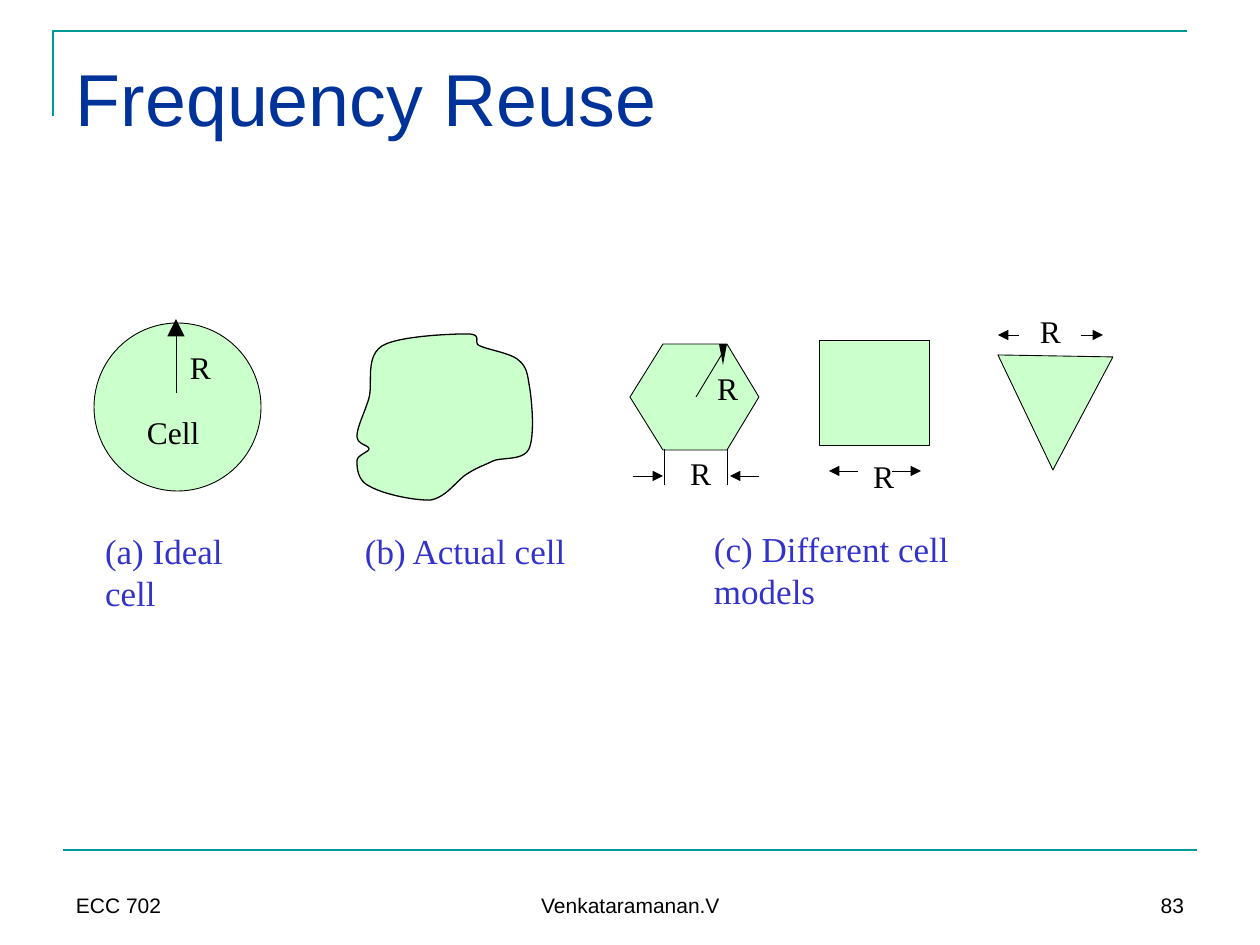
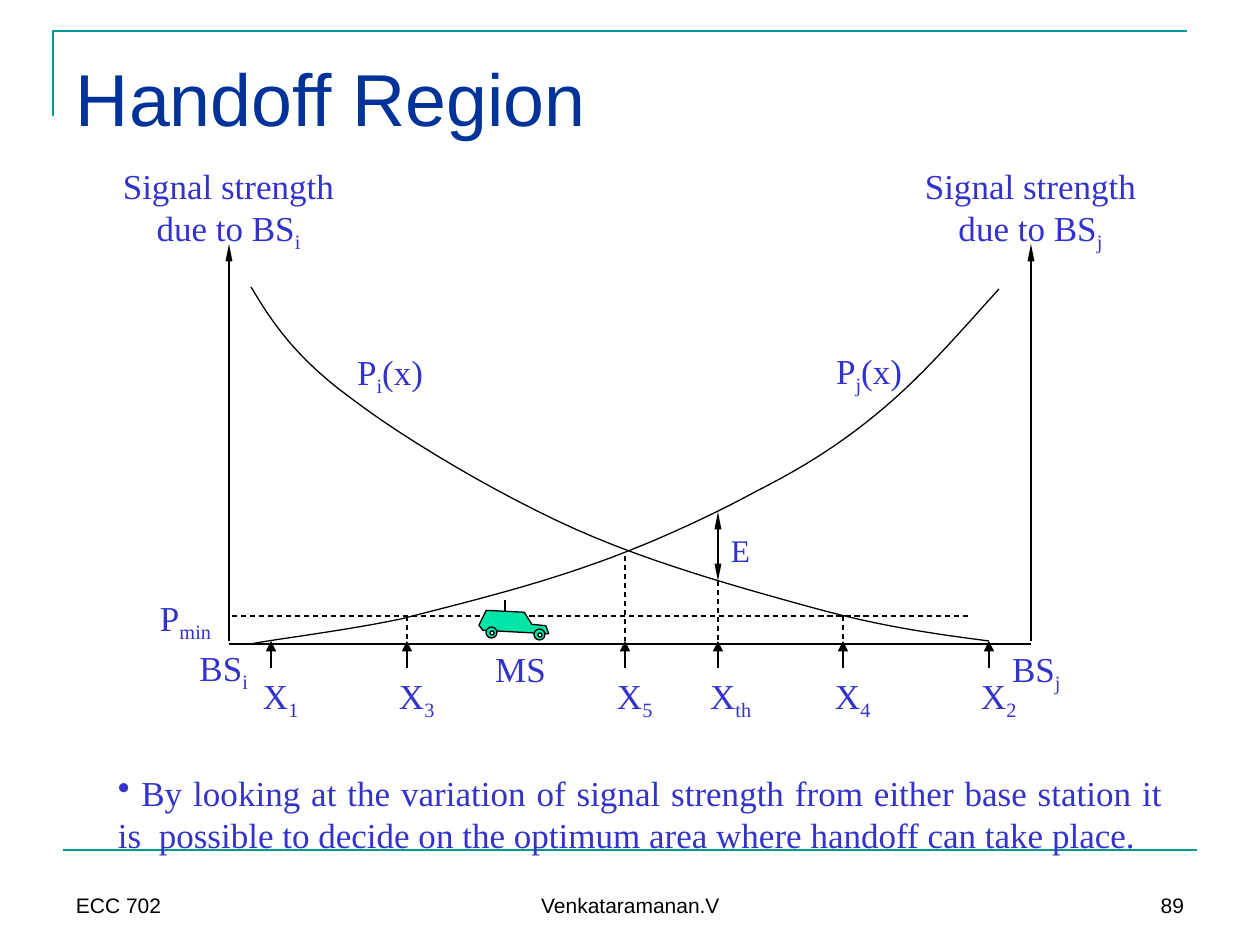
"""Builds two lecture slides on cell shapes and the handoff region."""
import pptx
import pptx.dml.color
import pptx.enum.dml
import pptx.enum.shapes
import pptx.enum.text
import pptx.oxml.ns
import pptx.util
from lxml import etree

SCALE = 914400 / 126
TEAL, NAVY, BLUE, BLACK = "009999", "003399", "3333CC", "000000"
GREEN, CAR, WHITE = "99FF99", "00E4A8", "FFFFFF"
SANS, SERIF = "Arial", "Times New Roman"
ALIGN = {
    "l": pptx.enum.text.PP_ALIGN.LEFT,
    "c": pptx.enum.text.PP_ALIGN.CENTER,
    "r": pptx.enum.text.PP_ALIGN.RIGHT,
    "j": pptx.enum.text.PP_ALIGN.JUSTIFY,
}
ANCHOR = {
    "t": pptx.enum.text.MSO_ANCHOR.TOP,
    "b": pptx.enum.text.MSO_ANCHOR.BOTTOM,
}
OVAL = pptx.enum.shapes.MSO_SHAPE.OVAL
RECT = pptx.enum.shapes.MSO_SHAPE.RECTANGLE


def px(n):
    return pptx.util.Emu(round(n * SCALE))


def rgb(value):
    return pptx.dml.color.RGBColor.from_string(value)


def sub(parent, tag, **attrs):
    return etree.SubElement(parent, pptx.oxml.ns.qn(tag), **attrs)


def text(s, content, x, y, w, h, size=20, font=SERIF, color=BLUE, align="l",
         anchor="t", wrap=True, inset=(13, 6), bullet=None):
    tb = s.shapes.add_textbox(px(x), px(y), px(w), px(h))
    tf = tb.text_frame
    tf.word_wrap = wrap
    tf.vertical_anchor = ANCHOR[anchor]
    tf.margin_left = tf.margin_right = px(inset[0])
    tf.margin_top = tf.margin_bottom = px(inset[1])
    p = tf.paragraphs[0]
    p.alignment = ALIGN[align]
    if bullet:
        sub(p._p.get_or_add_pPr(), "a:buChar", char=bullet)
    for i, part in enumerate(content.split("_")):
        r = p.add_run()
        r.text = part
        r.font.size = pptx.util.Pt(size)
        r.font.name = font
        r.font.color.rgb = rgb(color)
        if i % 2:
            r._r.get_or_add_rPr().set("baseline", "-25000")


def paint(sp, fill=None, line=BLACK, width=0.75, alpha=None):
    sp.shadow.inherit = False
    if fill:
        sp.fill.solid()
        sp.fill.fore_color.rgb = rgb(fill)
        if alpha:
            color = sp._element.spPr.find(".//" + pptx.oxml.ns.qn("a:srgbClr"))
            sub(color, "a:alpha", val=str(alpha * 1000))
    else:
        sp.fill.background()
    if line:
        sp.line.color.rgb = rgb(line)
        sp.line.width = pptx.util.Pt(width)
    else:
        sp.line.fill.background()
    return sp


def shape(s, kind, x, y, w, h, **style):
    sp = s.shapes.add_shape(kind, px(x), px(y), px(w), px(h))
    return paint(sp, **style)


def outline(s, points, close=True, **style):
    first, *rest = [(px(x), px(y)) for x, y in points]
    builder = s.shapes.build_freeform(*first, scale=1.0)
    builder.add_line_segments(rest, close=close)
    return paint(builder.convert_to_shape(), **style)


def curve(points, steps=12):
    path = [points[0]]
    for i in range(0, len(points) - 1, 3):
        a, b, c, d = points[i:i + 4]
        for k in range(1, steps + 1):
            t = k / steps
            u = 1 - t
            path.append(tuple(
                u**3 * a[n] + 3 * u * u * t * b[n] + 3 * u * t * t * c[n] + t**3 * d[n]
                for n in (0, 1)))
    return path


def line(s, x1, y1, x2, y2, color=BLACK, width=0.75, dash=False, ends=(),
         head=("med", "med")):
    straight = pptx.enum.shapes.MSO_CONNECTOR.STRAIGHT
    c = s.shapes.add_connector(straight, px(x1), px(y1), px(x2), px(y2))
    c.line.color.rgb = rgb(color)
    c.line.width = pptx.util.Pt(width)
    if dash:
        c.line.dash_style = pptx.enum.dml.MSO_LINE.DASH
    for end in ends:
        sub(c.line._get_or_add_ln(), f"a:{end}End", type="triangle",
            w=head[0], len=head[1])
    sub(c._element.spPr, "a:effectLst")


def new_slide(prs, title, number):
    s = prs.slides.add_slide(prs.slide_layouts[6])
    outline(s, [(53, 116), (53, 31), (1187, 31)], close=False, line=TEAL, width=1.5)
    line(s, 63, 850, 1197, 850, color=TEAL, width=1.5)
    text(s, title, 63, 38, 1134, 157, size=42, font=SANS, color=NAVY, inset=(13, 15))
    for words, x, w, align in (("ECC 702", 63, 294, "l"),
                               ("Venkataramanan.V", 431, 399, "c"),
                               (number, 903, 294, "r")):
        text(s, words, x, 861, w, 63, size=12, font=SANS, color=BLACK,
             align=align, anchor="b")
    return s


def frequency_reuse(prs):
    s = new_slide(prs, "Frequency Reuse", "83")
    cell = {"fill": GREEN, "alpha": 50, "width": 0.5}
    actual_cell = [
        (467, 334), (451, 334), (398, 336), (382, 346), (365, 357), (373, 383),
        (369, 398), (365, 412), (357, 427), (357, 436), (357, 445), (369, 445),
        (369, 449), (369, 452), (357, 455), (357, 461), (357, 467), (357, 480),
        (369, 486), (382, 494), (415, 501), (431, 500), (447, 497), (457, 480),
        (467, 474), (478, 467), (483, 466), (493, 461), (503, 457), (523, 461),
        (529, 449), (535, 436), (532, 399), (529, 384), (527, 370), (525, 365),
        (517, 359), (509, 353), (489, 350), (480, 346), (472, 343), (484, 334),
        (467, 334)]
    shape(s, OVAL, 94, 323, 167, 168, **cell)
    outline(s, curve(actual_cell), **{**cell, "width": 0.75})
    outline(s, [(663, 344), (630, 397), (663, 450), (727, 450), (759, 397),
                (727, 344)], **cell)
    shape(s, RECT, 819, 340, 111, 105, **cell)
    outline(s, [(1053, 470), (1113, 357), (998, 355)], **cell)

    line(s, 176, 393, 176, 319, width=0.5, ends=["tail"], head=("lg", "lg"))
    line(s, 696, 397, 722, 354, width=0.5)
    outline(s, [(719, 344), (727, 344), (723, 365)], fill=BLACK, line=None)
    for x in (664, 727):
        line(s, x, 449, x, 485, width=0.5)
    for start, end, y in ((633, 663, 476), (759, 730, 476), (858, 829, 471),
                          (892, 921, 471), (1019, 998, 335), (1081, 1103, 335)):
        line(s, start, y, end, y, width=0.5, ends=["tail"])

    label = {"size": 18, "color": BLACK, "wrap": False, "inset": (0, 0)}
    text(s, "Cell", 147, 413, 53, 38, **label)
    for x, y in ((190, 348), (717, 369), (690, 454), (873, 457), (1040, 312)):
        text(s, "R", x, y, 21, 38, **label)
    text(s, "(a) Ideal cell", 105, 529, 172, 42, inset=(0, 0))
    text(s, "(b) Actual cell", 365, 529, 204, 42, inset=(0, 0), wrap=False)
    text(s, "(c) Different cell models", 714, 527, 338, 42, inset=(0, 0))


def car(s):
    body = outline(s, [(479, 626), (486, 611), (524, 612), (532, 624), (546, 625),
                       (549, 633), (483, 631)], fill=CAR)
    body.rotation = 1.3
    for x, y in ((486, 627), (534, 629)):
        shape(s, OVAL, x, y, 11, 11, fill=CAR)
        shape(s, OVAL, x + 4, y + 4, 4, 4, fill=WHITE)
    line(s, 505, 611, 505, 600)


def handoff_region(prs):
    s = new_slide(prs, "Handoff Region", "89")
    power_j = [
        (999, 289), (961, 331), (925, 373), (885, 407), (845, 441), (808, 465),
        (757, 491), (707, 518), (644, 547), (585, 567), (525, 588), (456, 605),
        (401, 619), (344, 631), (276, 639), (251, 644)]
    power_i = [
        (251, 287), (273, 324), (297, 359), (352, 399), (406, 440), (499, 495),
        (575, 529), (651, 563), (741, 588), (810, 607), (878, 626), (934, 634),
        (989, 641)]
    slim = ("sm", "lg")
    line(s, 229, 644, 1031, 644)
    for points in (power_j, power_i):
        outline(s, curve(points), close=False)
    for x, station in ((229, "i"), (1031, "j")):
        line(s, x, 641, x, 244, ends=["tail"], head=slim)
        text(s, f"Signal strength due to BS_{station}", x - 125, 158, 249, 97, align="c")
    line(s, 718, 581, 718, 512, ends=["head", "tail"], head=slim)
    line(s, 968, 616, 229, 616, dash=True)
    for x, top in ((407, 616), (625, 556), (718, 572), (843, 616)):
        line(s, x, top, x, 641, dash=True)
    for x, name, w in ((271, "1", 62), (407, "3", 62), (625, "5", 62),
                       (718, "th", 83), (843, "4", 62), (989, "2", 62)):
        line(s, x, 668, x, 641, ends=["tail"])
        text(s, f"X_{name}", x - 21, 668, w, 54)
    car(s)

    text(s, "BS_i", 178, 640, 83, 54, align="r")
    text(s, "BS_j", 999, 641, 83, 54)
    text(s, "MS", 473, 641, 95, 54, align="c")
    text(s, "E", 718, 525, 42, 50, size=18)
    text(s, "P_min", 147, 590, 93, 54)
    text(s, "P_i_(x)", 344, 344, 93, 54)
    text(s, "P_j_(x)", 823, 343, 93, 54)
    text(s, " By looking at the variation of signal strength from either base station "
         "it is  possible to decide on the optimum area where handoff can take place.",
         105, 765, 1071, 97, align="j", bullet="•")


def main():
    prs = pptx.Presentation()
    prs.slide_width, prs.slide_height = px(1260), px(945)
    frequency_reuse(prs)
    handoff_region(prs)
    prs.save("out.pptx")


if __name__ == "__main__":
    main()
